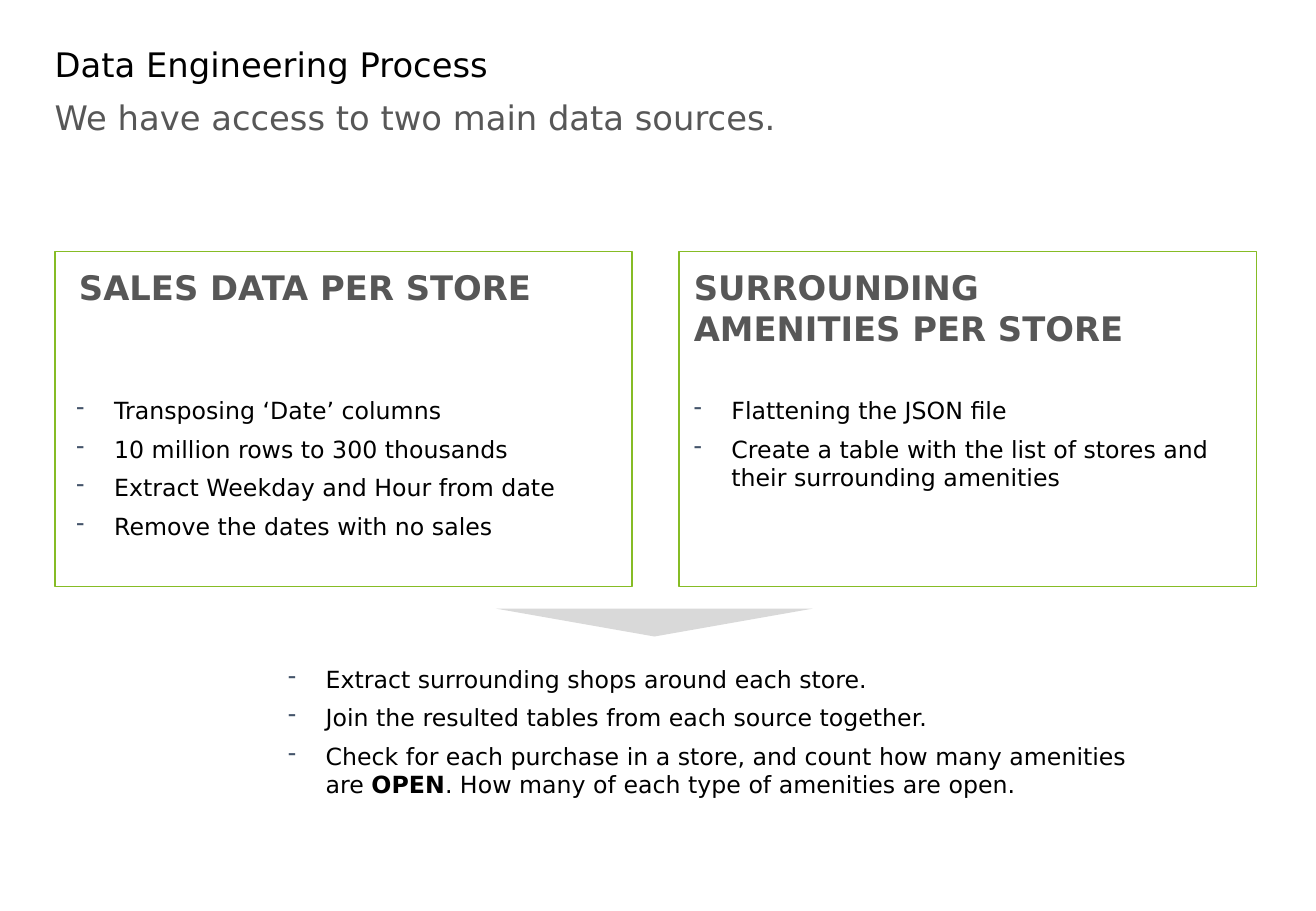
from lxml import etree
from pptx import Presentation
from pptx.dml.color import RGBColor
from pptx.enum.shapes import MSO_SHAPE as Preset
from pptx.enum.text import MSO_ANCHOR as Anchor
from pptx.oxml.ns import qn
from pptx.util import Inches, Pt

BLACK = RGBColor(0x00, 0x00, 0x00)
GREY = RGBColor(0x57, 0x57, 0x57)
LIGHT_GREY = RGBColor(0xD9, 0xD9, 0xD9)
GREEN = RGBColor(0x86, 0xBC, 0x25)
DASH_COLOR = "44546A"
FONT = "DejaVu Sans"
INDENT = Inches(0.31)

FRAME = {"margin_left": 0, "margin_top": 0, "margin_right": 0,
         "margin_bottom": 0, "word_wrap": True}
TITLE = {"name": FONT, "size": Pt(20)}
HEADING = {**TITLE, "bold": True}
STEP = {"name": FONT, "size": Pt(14)}


def apply_format(target, values):
    for name, value in values.items():
        setattr(target, name, value)


def add_dash(paragraph):
    properties = paragraph._p.get_or_add_pPr()
    properties.set("marL", str(INDENT))
    properties.set("indent", str(-INDENT))
    color = etree.SubElement(properties, qn("a:buClr"))
    etree.SubElement(color, qn("a:srgbClr"), val=DASH_COLOR)
    etree.SubElement(properties, qn("a:buChar"), char="-")


def add_text(slide, box, paragraphs, style, color, dashed=False, anchor=Anchor.TOP):
    frame = slide.shapes.add_textbox(*map(Inches, box)).text_frame
    apply_format(frame, {**FRAME, "vertical_anchor": anchor})
    for index, pieces in enumerate(paragraphs):
        paragraph = frame.paragraphs[0] if index == 0 else frame.add_paragraph()
        if dashed:
            add_dash(paragraph)
        if index:
            paragraph.space_before = Pt(6)
        for position, piece in enumerate(pieces):
            run = paragraph.add_run()
            run.text = piece
            apply_format(run.font, style)
            run.font.color.rgb = color
            if position % 2:
                run.font.bold = True


def add_header(slide, box, title, subtitle):
    left, top, width, height = box
    add_text(slide, (left, top, width, 0.34), [[title]], TITLE, BLACK, anchor=Anchor.MIDDLE)
    add_text(slide, (left, top + 0.44, width, height - 0.44), [[subtitle]], TITLE, GREY)


def add_source(slide, box, heading, heading_inset, heading_width, steps, steps_inset, steps_width):
    left, top, width, height = box
    add_text(slide, (left + heading_inset, top + 0.13, heading_width, 0.44),
             [[heading]], HEADING, GREY)
    add_text(slide, (left + steps_inset, top + 1.19, steps_width, 1.19),
             steps, STEP, BLACK, dashed=True)
    border = slide.shapes.add_shape(Preset.RECTANGLE, *map(Inches, box))
    border.shadow.inherit = False
    border.fill.background()
    border.line.color.rgb = GREEN
    border.line.width = Pt(1)


def add_outcome(slide, box, steps):
    left, top, width, height = box
    arrow = slide.shapes.add_shape(Preset.ISOSCELES_TRIANGLE, Inches(left + 1.71),
                                   Inches(top), Inches(2.61), Inches(0.23))
    arrow.rotation = 180
    arrow.shadow.inherit = False
    arrow.fill.solid()
    arrow.fill.fore_color.rgb = LIGHT_GREY
    arrow.line.fill.background()
    add_text(slide, (left, top + 0.46, width, height - 0.46), steps, STEP, BLACK, dashed=True)


def main():
    deck = Presentation()
    deck.slide_width, deck.slide_height = Inches(10.83), Inches(7.5)
    slide = deck.slides.add_slide(deck.slide_layouts[6])
    add_header(slide, (0.45, 0.36, 9.92, 1.1), "Data Engineering Process",
               "We have access to two main data sources.")
    sources = [
        ("SALES DATA PER STORE", 0.2, 3.81,
         [["Transposing ‘Date’ columns"],
          ["10 million rows to 300 thousands"],
          ["Extract Weekday and Hour from date"],
          ["Remove the dates with no sales"]], 0.18, 4.2),
        ("SURROUNDING AMENITIES PER STORE", 0.12, 4.07,
         [["Flattening the JSON file"],
          ["Create a table with the list of stores and their surrounding amenities"]],
         0.12, 4.57),
    ]
    for column, source in enumerate(sources):
        add_source(slide, (0.45 + column * 5.14, 2.07, 4.75, 2.76), *source)
    add_outcome(slide, (2.37, 5.01, 7.28, 1.57), [
        ["Extract surrounding shops around each store."],
        ["Join the resulted tables from each source together."],
        ["Check for each purchase in a store, and count how many amenities are ",
         "OPEN", ". How many of each type of amenities are open."],
    ])
    deck.save("out.pptx")


if __name__ == "__main__":
    main()
